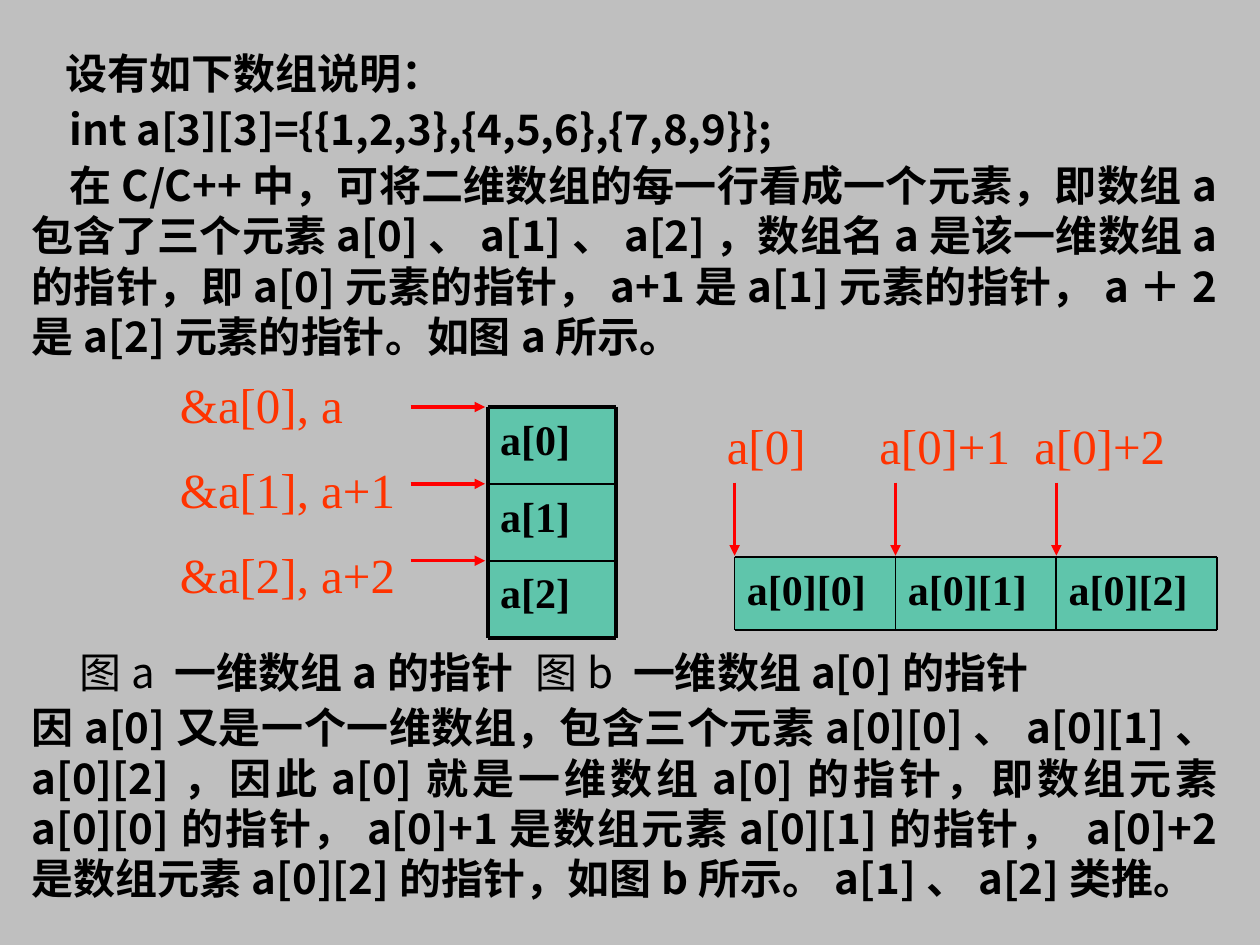
from pptx import Presentation
from pptx.dml.color import RGBColor
from pptx.enum.shapes import MSO_CONNECTOR, MSO_SHAPE
from pptx.enum.text import MSO_ANCHOR, PP_ALIGN
from pptx.oxml.ns import qn
from pptx.util import Inches, Pt
from lxml.etree import SubElement

COLS, ROWS = 100, 75
SANS, SERIF = "Noto Sans CJK SC", "Times New Roman"
BLACK, RED, ORANGE, GREEN, GRAY = "000000", "FF0000", "FF3300", "00CC99", "BFBFBF"


def color(code):
    return RGBColor.from_string(code)


class Board:
    def __init__(self, deck):
        self.wide, self.high = deck.slide_width, deck.slide_height
        self.slide = deck.slides.add_slide(deck.slide_layouts[0])
        self.slide.background.fill.solid()
        self.slide.background.fill.fore_color.rgb = color(GRAY)
        title = self.slide.shapes.title
        title.element.getparent().remove(title.element)

    def place(self, *grid):
        sides = (self.wide / COLS, self.high / ROWS) * 2
        return [round(n * side) for n, side in zip(grid, sides)]

    def style(self, para, size, face, ink, bold, before, align=PP_ALIGN.LEFT):
        para.alignment = align
        para.space_before = Pt(before)
        font = para.font
        font.size, font.name, font.bold = Pt(size), face, bold
        font.color.rgb = color(ink)
        SubElement(font._element, qn("a:ea"), typeface=face)

    def tabs(self, para, *stops):
        props = para._p.get_or_add_pPr()
        marks = props.makeelement(qn("a:tabLst"), {})
        for stop in stops:
            SubElement(marks, qn("a:tab"), pos=str(Inches(stop)), algn="l")
        props.insert_element_before(marks, "a:defRPr", "a:extLst")

    def body(self, items, *grid):
        holder = self.slide.placeholders[1]
        holder.left, holder.top, holder.width, holder.height = self.place(*grid)
        frame = holder.text_frame
        frame.vertical_anchor = MSO_ANCHOR.TOP
        for i, (runs, indent, before) in enumerate(items):
            para = frame.add_paragraph() if i else frame.paragraphs[0]
            for text, bold in runs:
                run = para.add_run()
                run.text = text
                if not bold:
                    run.font.bold = False
            self.style(para, 24, SANS, BLACK, True, before, PP_ALIGN.JUSTIFY)
            props = para._p.get_or_add_pPr()
            props.set("marL", "0")
            props.set("indent", str(Inches(indent)))
        return frame.paragraphs

    def label(self, lines, *grid):
        frame = self.slide.shapes.add_textbox(*self.place(*grid)).text_frame
        frame.word_wrap = True
        for i, line in enumerate(lines):
            para = frame.add_paragraph() if i else frame.paragraphs[0]
            para.text = line
            self.style(para, 28, SERIF, ORANGE, False, 15 if i else 0)
        return frame.paragraphs

    def cell(self, name, *grid):
        shape = self.slide.shapes.add_shape(MSO_SHAPE.RECTANGLE, *self.place(*grid))
        shape.shadow.inherit = False
        shape.line.fill.background()
        shape.fill.solid()
        shape.fill.fore_color.rgb = color(GREEN)
        tone = shape.element.spPr.find(".//" + qn("a:srgbClr"))
        SubElement(tone, qn("a:alpha"), val="50000")
        frame = shape.text_frame
        frame.vertical_anchor = MSO_ANCHOR.TOP
        para = frame.paragraphs[0]
        para.text = name
        self.style(para, 24, SERIF, BLACK, True, 0)

    def line(self, grid, ink=BLACK, width=1, arrow=False):
        link = self.slide.shapes.add_connector(MSO_CONNECTOR.STRAIGHT, *self.place(*grid))
        link.line.color.rgb = color(ink)
        link.line.width = Pt(width)
        if arrow:
            SubElement(link.line._get_or_add_ln(), qn("a:tailEnd"), type="triangle")
        SubElement(link.element.spPr, qn("a:effectLst"))

    def arrow(self, *grid):
        self.line(grid, RED, 2, True)

    def array(self, names, x, y, w, h, down, edge):
        last = len(names)
        dx, dy = (0, h) if down else (w, 0)
        for i, name in enumerate(names):
            self.cell(name, x + i * dx, y + i * dy, w, h)
        for i in range(last + 1):
            left, top = x + i * dx, y + i * dy
            end = (left + w, top) if down else (left, top + h)
            self.line((left, top, *end), width=edge if i in (0, last) else 1)
        for side in (0, 1):
            left, top = (x + side * w, y) if down else (x, y + side * h)
            self.line((left, top, left + last * dx, top + last * dy), width=edge)


def main():
    deck = Presentation()
    deck.slide_width, deck.slide_height = Inches(10), Inches(7.5)
    board = Board(deck)

    paras = board.body([
        ([("设有如下数组说明：", True)], 0.27, 3),
        ([("int a[3][3]={{1,2,3},{4,5,6},{7,8,9}};", True)], 0.3, 3),
        ([("在C/C++中，可将二维数组的每一行看成一个元素，即数组a包含了三个元素"
           "a[0]、a[1]、a[2]，数组名a是该一维数组a的指针，即a[0]元素的指针，"
           "a+1是a[1]元素的指针，a＋2是a[2]元素的指针。如图a所示。", True)], 0.3, 3),
        ([("图a ", False), ("一维数组a的指针\t", True),
          ("图b ", False), ("一维数组a[0]的指针", True)], 0.38, 163),
        ([("因a[0]又是一个一维数组，包含三个元素a[0][0]、a[0][1]、a[0][2]，"
           "因此a[0]就是一维数组a[0]的指针，即数组元素a[0][0]的指针，"
           "a[0]+1是数组元素a[0][1]的指针， a[0]+2是数组元素a[0][2]的指针，"
           "如图b所示。a[1]、a[2]类推。", True)], 0, 3),
    ], 1.5, 3.3, 96.9, 69.5)
    board.tabs(paras[3], 4.37)

    x, y, w, h = 38.7, 32.3, 10.2, 6.1
    board.array([f"a[{i}]" for i in range(3)], x, y, w, h, True, 2.25)
    board.label(["&a[0], a", "&a[1], a+1", "&a[2], a+2"], 13.3, 29.2, 19.2, 18.9)
    for i in range(3):
        board.arrow(x - 6.1, y + i * h, x - 0.2, y + i * h)

    x, y, w, h = 58.3, 44.2, 12.77, 5.8
    board.array([f"a[0][{i}]" for i in range(3)], x, y, w, h, False, 1)
    heads = board.label(["a[0]\ta[0]+1\ta[0]+2"], 56.7, 32.5, 39.2, 5.7)
    board.tabs(heads[0], 1.21, 2.44)
    for i in range(3):
        board.arrow(x + i * w, y - 5.9, x + i * w, y - 0.1)

    deck.save("out.pptx")


if __name__ == "__main__":
    main()
